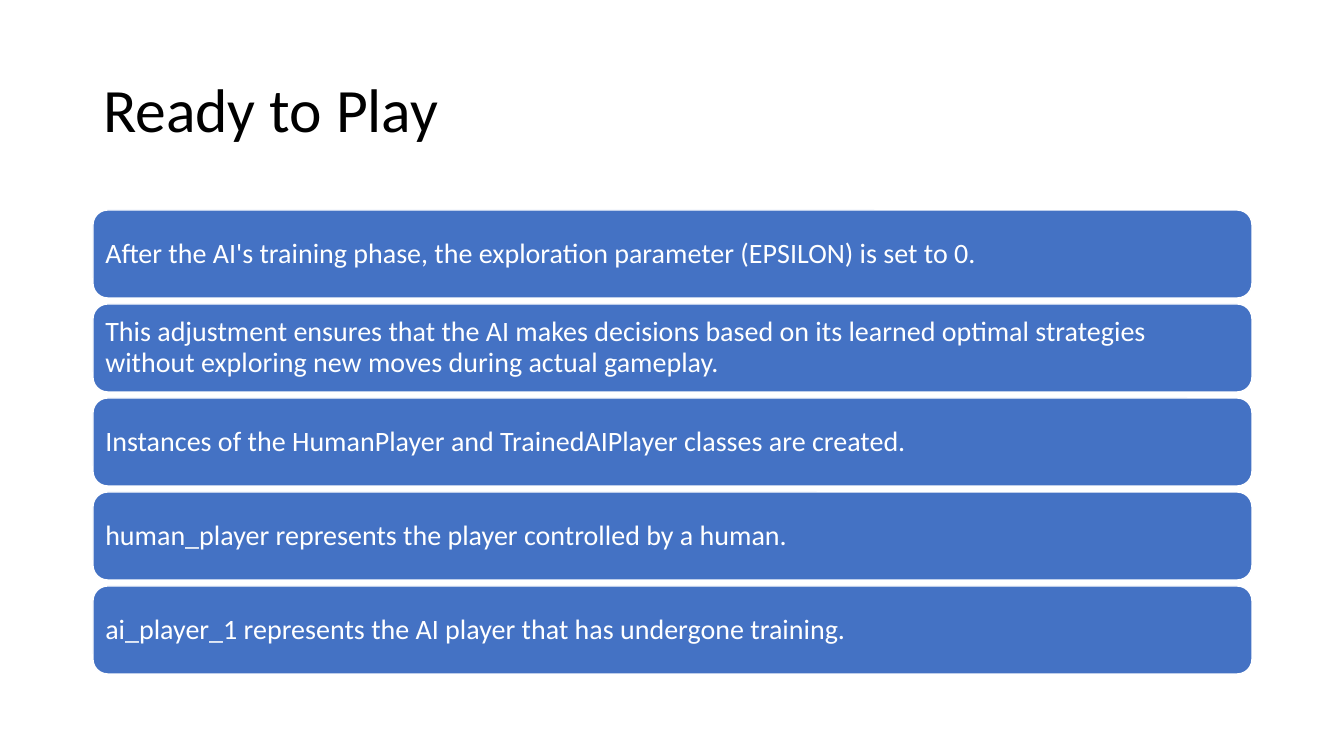
from pptx import Presentation
from pptx.dml.color import RGBColor
from pptx.enum.shapes import MSO_SHAPE
from pptx.enum.text import MSO_ANCHOR, MSO_AUTO_SIZE, PP_ALIGN
from pptx.util import Emu, Pt

EMU_PER_PX = 914400 / 100.8
FONT = "Calibri"
COLORS = {"title": "000000", "bar": "4472C4", "white": "FFFFFF"}
LEFT, WIDTH = 93, 1159
BAR_TOP, BAR_HEIGHT, BAR_PITCH = 210, 88, 94
BAR_INSET = 8
STATEMENTS = [
    "After the AI's training phase, the exploration parameter (EPSILON) is set to 0.",
    "This adjustment ensures that the AI makes decisions based on its learned optimal "
    "strategies without exploring new moves during actual gameplay.",
    "Instances of the HumanPlayer and TrainedAIPlayer classes are created.",
    "human_player represents the player controlled by a human.",
    "ai_player_1 represents the AI player that has undergone training.",
]


def px(length):
    return Emu(round(length * EMU_PER_PX))


def color(name):
    return RGBColor.from_string(COLORS[name])


def write_text(shape, text, size, color_name):
    frame = shape.text_frame
    frame.text = text
    frame.word_wrap = True
    frame.auto_size = MSO_AUTO_SIZE.NONE
    frame.vertical_anchor = MSO_ANCHOR.MIDDLE
    para = frame.paragraphs[0]
    para.alignment = PP_ALIGN.LEFT
    para.line_spacing = 0.9
    font = para.runs[0].font
    font.name = FONT
    font.size = Pt(size)
    font.color.rgb = color(color_name)


def add_title(page, text):
    title = page.shapes.title
    title.left, title.top = px(LEFT), px(40)
    title.width, title.height = px(WIDTH), px(146)
    write_text(title, text, 44, "title")


def add_bar(page, top, text):
    bar = page.shapes.add_shape(
        MSO_SHAPE.ROUNDED_RECTANGLE, px(LEFT), px(top), px(WIDTH), px(BAR_HEIGHT)
    )
    bar.shadow.inherit = False
    bar.fill.solid()
    bar.fill.fore_color.rgb = color("bar")
    bar.line.color.rgb = color("white")
    bar.line.width = Pt(1)
    frame = bar.text_frame
    frame.margin_left = frame.margin_right = px(BAR_INSET)
    frame.margin_top = frame.margin_bottom = px(BAR_INSET)
    write_text(bar, text, 20, "white")


def main():
    deck = Presentation()
    deck.slide_width, deck.slide_height = px(1344), px(756)
    page = deck.slides.add_slide(deck.slide_layouts[5])
    add_title(page, "Ready to Play")
    for index, statement in enumerate(STATEMENTS):
        add_bar(page, BAR_TOP + index * BAR_PITCH, statement)
    deck.save("out.pptx")


if __name__ == "__main__":
    main()
